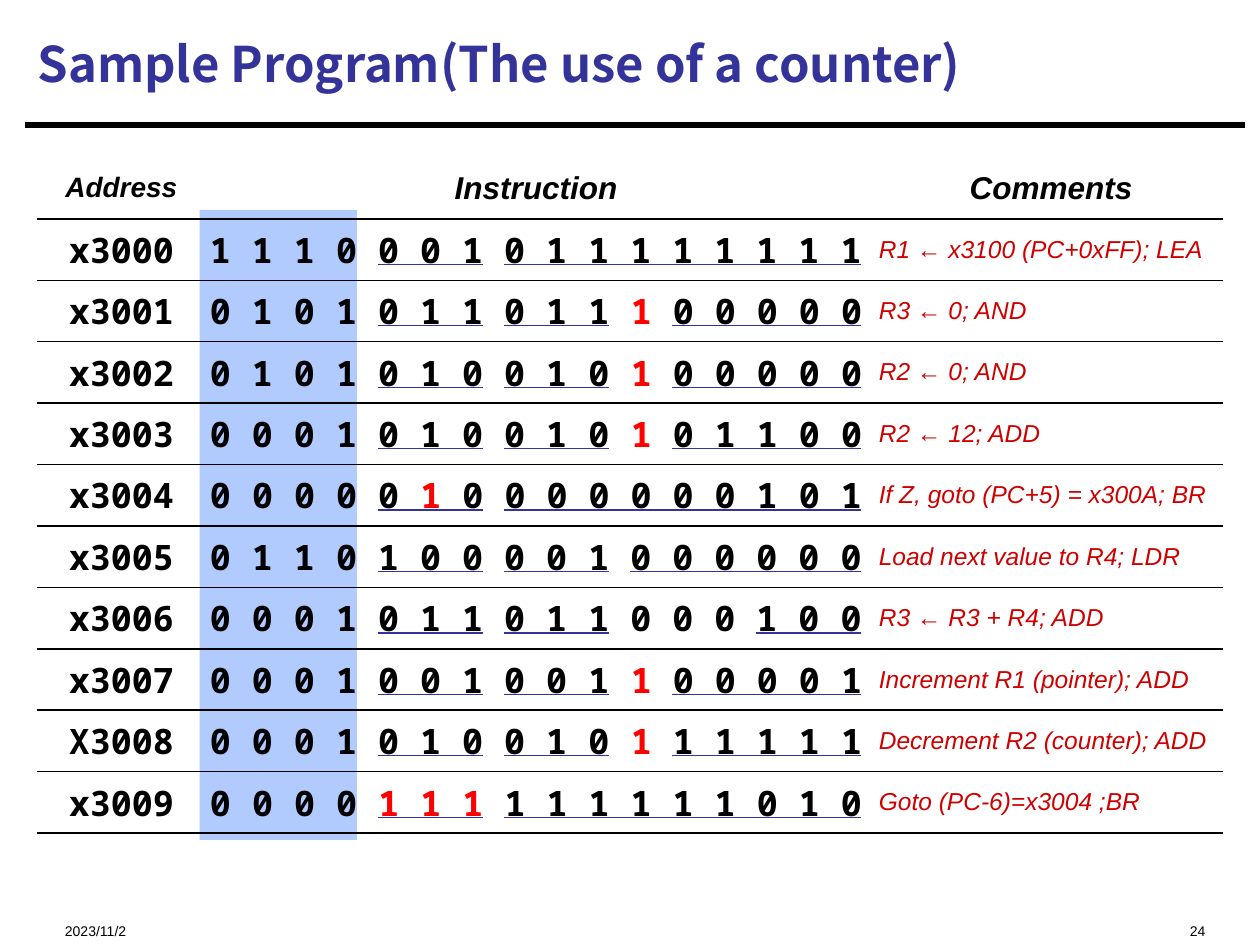
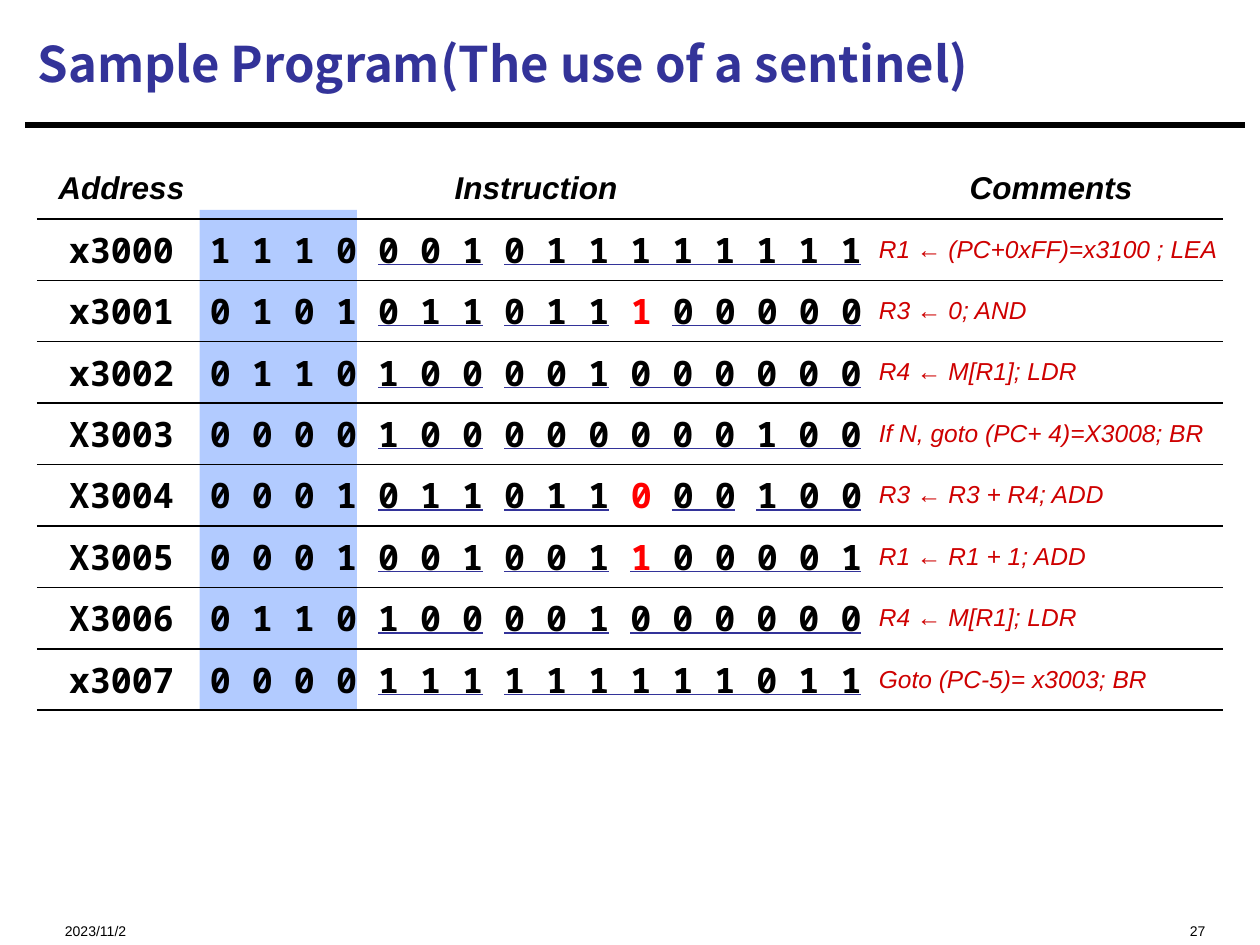
from itertools import groupby

from lxml import etree
from pptx import Presentation
from pptx.dml.color import RGBColor
from pptx.enum.shapes import MSO_CONNECTOR, MSO_SHAPE
from pptx.enum.text import MSO_ANCHOR, PP_ALIGN
from pptx.oxml.ns import qn
from pptx.util import Pt

STRAIGHT = MSO_CONNECTOR.STRAIGHT
RECTANGLE = MSO_SHAPE.RECTANGLE
MIDDLE, BOTTOM = MSO_ANCHOR.MIDDLE, MSO_ANCHOR.BOTTOM
LEFT, CENTER, RIGHT = PP_ALIGN.LEFT, PP_ALIGN.CENTER, PP_ALIGN.RIGHT

BLACK = RGBColor(0x00, 0x00, 0x00)
NAVY = RGBColor(0x33, 0x33, 0x99)
RED = RGBColor(0xFF, 0x00, 0x00)
COMMENT_RED = RGBColor(0xCE, 0x00, 0x00)
OPCODE_BLUE = RGBColor(0x66, 0x99, 0xFF)

SANS, MONO, TITLE_FONT = "Arial", "Noto Sans Mono", "Noto Sans CJK SC"

TABLE_LEFT, TABLE_TOP, ROW_HEIGHT = 21, 90, 35.1
COLUMN_WIDTHS = (89.5, 384.5, 204)
FIRST_BIT_LEFT, BIT_PITCH, BIT_WIDTH = 120, 24, 12
UNDERLINE_DROP = 26

# In the bit fields "_" marks an underlined field and "*" a red bit
LISTINGS = [
    {
        "title": "Sample Program(The use of a counter)",
        "number": "24",
        "address_size": 16,
        "band_height": 360,
        "program": [
            ("x3000", "1110 _001 _011111111", "R1 ← x3100 (PC+0xFF); LEA"),
            ("x3001", "0101 _011 _011 *1 _00000", "R3 ← 0; AND"),
            ("x3002", "0101 _010 _010 *1 _00000", "R2 ← 0; AND"),
            ("x3003", "0001 _010 _010 *1 _01100", "R2 ← 12; ADD"),
            ("x3004", "0000 _0*10 _000000101", "If Z, goto (PC+5) = x300A; BR"),
            ("x3005", "0110 _100 _001 _000000", "Load next value to R4; LDR"),
            ("x3006", "0001 _011 _011 000 _100", "R3 ← R3 + R4; ADD"),
            ("x3007", "0001 _001 _001 *1 _00001", "Increment R1 (pointer); ADD"),
            ("X3008", "0001 _010 _010 *1 _11111", "Decrement R2 (counter); ADD"),
            ("x3009", "0000 _*1*1*1 _111111010", "Goto (PC-6)=x3004 ;BR"),
        ],
    },
    {
        "title": "Sample Program(The use of a sentinel)",
        "number": "27",
        "address_size": 18,
        "band_height": 286,
        "program": [
            ("x3000", "1110 _001 _011111111", "R1 ← (PC+0xFF)=x3100 ; LEA"),
            ("x3001", "0101 _011 _011 *1 _00000", "R3 ← 0; AND"),
            ("x3002", "0110 _100 _001 _000000", "R4 ← M[R1]; LDR"),
            ("X3003", "0000 _100 _000000100", "If N, goto (PC+ 4)=X3008; BR"),
            ("X3004", "0001 _011 _011 *0 _00 _100", "R3 ← R3 + R4; ADD"),
            ("X3005", "0001 _001 _001 _*100001", "R1 ← R1 + 1; ADD"),
            ("X3006", "0110 _100 _001 _000000", "R4 ← M[R1]; LDR"),
            ("x3007", "0000 _111 _111111011", "Goto (PC-5)= x3003; BR"),
        ],
    },
]


def add_run(paragraph, text, font, size, color, bold=False, italic=False):
    run = paragraph.add_run()
    run.text = text
    run.font.name, run.font.size = font, Pt(size)
    run.font.color.rgb = color
    run.font.bold, run.font.italic = bold, italic


def add_rule(slide, left, right, y, color, width):
    rule = slide.shapes.add_connector(STRAIGHT, Pt(left), Pt(y), Pt(right), Pt(y))
    rule.line.color.rgb = color
    rule.line.width = Pt(width)
    etree.SubElement(rule._element.spPr, qn("a:effectLst"))


prs = Presentation()
prs.slide_width, prs.slide_height = Pt(720), Pt(540)

for listing in LISTINGS:
    slide = prs.slides.add_slide(prs.slide_layouts[5])
    program = listing["program"]

    # Title and the rule below it
    title = slide.shapes.title
    title.left, title.top, title.width, title.height = Pt(14.4), Pt(6), Pt(696), Pt(60)
    title.text_frame.vertical_anchor = MIDDLE
    heading = title.text_frame.paragraphs[0]
    heading.alignment = LEFT
    add_run(heading, listing["title"], TITLE_FONT, 28, NAVY, bold=True)
    add_rule(slide, 14.4, 711.4, 71.5, BLACK, 3.75)

    # Date and slide number
    for left, width, text, align in ((30, 180, "2023/11/2", LEFT),
                                     (480, 216, listing["number"], RIGHT)):
        footer = slide.shapes.add_textbox(Pt(left), Pt(515), Pt(width), Pt(22)).text_frame
        footer.word_wrap = True
        footer.vertical_anchor = BOTTOM
        footer.margin_bottom = 0
        footer.paragraphs[0].alignment = align
        add_run(footer.paragraphs[0], text, SANS, 8, BLACK)

    # Band behind the opcode bits
    band = slide.shapes.add_shape(RECTANGLE, Pt(114), Pt(120), Pt(90),
                                  Pt(listing["band_height"]))
    band.shadow.inherit = False
    band.fill.solid()
    band.fill.fore_color.rgb = OPCODE_BLUE
    tint = band._element.spPr.find(".//" + qn("a:srgbClr"))
    etree.SubElement(tint, qn("a:alpha"), val="50000")
    band.line.fill.background()

    # Program table
    row_count = len(program) + 1
    table = slide.shapes.add_table(row_count, 3, Pt(TABLE_LEFT), Pt(TABLE_TOP),
                                   Pt(sum(COLUMN_WIDTHS)),
                                   Pt(ROW_HEIGHT * row_count)).table
    table.first_row = table.horz_banding = False
    for column, width in zip(table.columns, COLUMN_WIDTHS):
        column.width = Pt(width)

    for r, row in enumerate(table.rows):
        row.height = Pt(ROW_HEIGHT)
        for cell in row.cells:
            cell.fill.background()
            cell.vertical_anchor = MIDDLE
            cell.margin_left = Pt(7.2)
            cell.margin_top = cell.margin_right = cell.margin_bottom = 0
            cell.text_frame.paragraphs[0].alignment = CENTER
            tc_pr = cell._tc.get_or_add_tcPr()
            for position, side in enumerate("LRTB"):
                border = etree.Element(qn("a:ln" + side), w=str(Pt(1)))
                if side == "B" or (side == "T" and r > 0):
                    ink = etree.SubElement(border, qn("a:solidFill"))
                    etree.SubElement(ink, qn("a:srgbClr"), val=str(BLACK))
                else:
                    etree.SubElement(border, qn("a:noFill"))
                tc_pr.insert(position, border)

    headings = (("Address", listing["address_size"]), ("Instruction", 18), ("Comments", 18))
    for c, (text, size) in enumerate(headings):
        add_run(table.cell(0, c).text_frame.paragraphs[0], text, SANS, size, BLACK,
                bold=True, italic=True)

    for r, (address, fields, comment) in enumerate(program, start=1):
        address_line, bits_line, comment_line = (
            table.cell(r, c).text_frame.paragraphs[0] for c in range(3))
        add_run(address_line, address, MONO, 20, BLACK, bold=True)
        comment_line.alignment = LEFT
        add_run(comment_line, comment, SANS, 14, COMMENT_RED, italic=True)

        # Bits, with one underline below each marked field
        bits = []
        color = BLACK
        for field in fields.split():
            first = len(bits)
            for mark in field.lstrip("_"):
                if mark == "*":
                    color = RED
                else:
                    bits.append((mark, color))
                    color = BLACK
            if field.startswith("_"):
                add_rule(slide, FIRST_BIT_LEFT + BIT_PITCH * first,
                         FIRST_BIT_LEFT + BIT_PITCH * (len(bits) - 1) + BIT_WIDTH,
                         TABLE_TOP + ROW_HEIGHT * r + UNDERLINE_DROP, NAVY, 0.75)
        written = 0
        for color, group in groupby(bits, key=lambda bit: bit[1]):
            digits = [digit for digit, _ in group]
            written += len(digits)
            gap = " " if written < len(bits) else ""
            add_run(bits_line, " ".join(digits) + gap, MONO, 20, color, bold=True)

prs.save("out.pptx")
